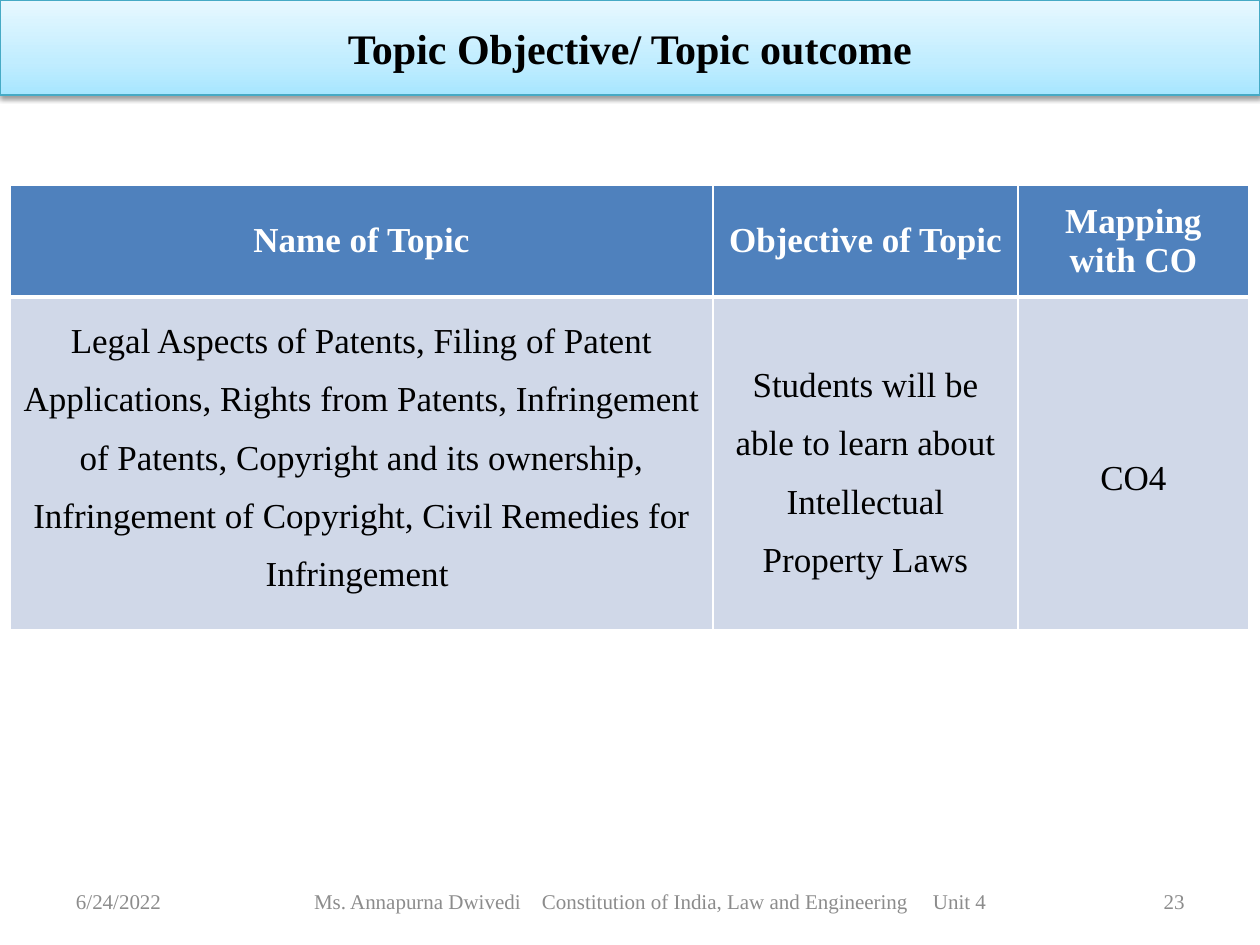
from lxml import etree
from pptx import Presentation
from pptx.dml.color import RGBColor
from pptx.enum.shapes import MSO_SHAPE
from pptx.enum.text import MSO_ANCHOR, PP_ALIGN
from pptx.oxml import parse_xml
from pptx.oxml.ns import nsdecls, qn
from pptx.util import Pt

LEFT, CENTER, RIGHT = PP_ALIGN.LEFT, PP_ALIGN.CENTER, PP_ALIGN.RIGHT
MIDDLE, TOP = MSO_ANCHOR.MIDDLE, MSO_ANCHOR.TOP
FONT = "Times New Roman"
COLORS = {
    "black": "000000", "white": "FFFFFF", "footer": "8C8C8C",
    "header": "4F81BD", "body": "D0D8E8", "title_line": "46AAC5",
}
TITLE = "Topic Objective/ Topic outcome"
TITLE_STOPS = [(0, "A7E6FF"), (35, "C1EDFF"), (100, "E7F8FF")]
HEADINGS = ["Name of Topic", "Objective of Topic", "Mapping with CO"]
TOPIC = [
    ("Legal Aspects of Patents, Filing of Patent Applications, Rights from "
     "Patents, Infringement of Patents, Copyright and its ownership, "
     "Infringement of Copyright, Civil Remedies for Infringement ", TOP, 1.5, 6),
    ("Students will be able to learn about Intellectual Property Laws", MIDDLE, 1.5, 6),
    ("CO4", MIDDLE, 1, 36),
]
COLUMN_WIDTHS = [703, 305, 231]
ROW_HEIGHTS = [112, 333]
FOOTER = [
    ("6/24/2022", 63, 294, LEFT, 13, []),
    ("Ms. Annapurna Dwivedi\tConstitution of India, Law and Engineering\tUnit 4",
     262, 777, LEFT, 52, [228, 619]),
    ("23", 903, 294, RIGHT, 13, []),
]


def px(length):
    return round(length * 914400 / 126)


def rgb(name):
    return RGBColor.from_string(COLORS[name])


def style(paragraph, size, color, align, bold=False):
    paragraph.alignment = align
    font = paragraph.font
    font.name, font.size, font.bold = FONT, Pt(size), bold
    font.color.rgb = rgb(color)


def add_title(slide):
    banner = slide.shapes.add_shape(MSO_SHAPE.RECTANGLE, 0, 0, px(1260), px(95))
    banner.line.color.rgb = rgb("title_line")
    banner.line.width = Pt(0.75)
    banner.shadow.inherit = False
    stops = "".join(f'<a:gs pos="{at * 1000}"><a:srgbClr val="{color}"/></a:gs>'
                    for at, color in TITLE_STOPS)
    properties = banner.element.spPr
    properties.find(qn("a:ln")).addprevious(parse_xml(
        f'<a:gradFill {nsdecls("a")} rotWithShape="1"><a:gsLst>{stops}</a:gsLst>'
        '<a:lin ang="16200000" scaled="0"/></a:gradFill>'))
    properties.find(qn("a:effectLst")).append(parse_xml(
        f'<a:outerShdw {nsdecls("a")} blurRad="{Pt(3.1)}" dist="{Pt(1.6)}" '
        'dir="5400000" rotWithShape="0"><a:srgbClr val="000000">'
        '<a:alpha val="38000"/></a:srgbClr></a:outerShdw>'))
    frame = banner.text_frame
    frame.vertical_anchor = MIDDLE
    frame.text = TITLE
    style(frame.paragraphs[0], 24, "black", CENTER, True)


def set_borders(cell, top, bottom):
    widths = {"lnL": 1, "lnR": 1, "lnT": top, "lnB": bottom}
    for index, (side, width) in enumerate(widths.items()):
        cell._tc.get_or_add_tcPr().insert(index, parse_xml(
            f'<a:{side} {nsdecls("a")} w="{Pt(width)}"><a:solidFill>'
            f'<a:srgbClr val="{COLORS["white"]}"/></a:solidFill></a:{side}>'))


def fill_cell(cell, text, fill, color, bold, anchor, spacing, margin_top):
    cell.fill.solid()
    cell.fill.fore_color.rgb = rgb(fill)
    cell.vertical_anchor = anchor
    cell.margin_left = cell.margin_right = px(13)
    cell.margin_top, cell.margin_bottom = px(margin_top), px(6)
    cell.text = text
    paragraph = cell.text_frame.paragraphs[0]
    paragraph.line_spacing = spacing
    style(paragraph, 20, color, CENTER, bold)


def add_topics(slide):
    table = slide.shapes.add_table(
        len(ROW_HEIGHTS), len(COLUMN_WIDTHS), px(10), px(185),
        px(sum(COLUMN_WIDTHS)), px(sum(ROW_HEIGHTS))).table
    for row, height in zip(table.rows, ROW_HEIGHTS):
        row.height = px(height)
    for index, width in enumerate(COLUMN_WIDTHS):
        table.columns[index].width = px(width)
        heading, topic = table.cell(0, index), table.cell(1, index)
        fill_cell(heading, HEADINGS[index], "header", "white", True, MIDDLE, 1, 6)
        fill_cell(topic, TOPIC[index][0], "body", "black", False, *TOPIC[index][1:])
        set_borders(heading, 1, 3)
        set_borders(topic, 3, 1)


def add_footer(slide):
    for text, left, width, align, margin_left, tabs in FOOTER:
        frame = slide.shapes.add_textbox(px(left), px(876), px(width), px(50)).text_frame
        frame.word_wrap = True
        frame.vertical_anchor = MIDDLE
        frame.margin_left = px(margin_left)
        frame.text = text
        paragraph = frame.paragraphs[0]
        if tabs:
            tab_list = etree.SubElement(paragraph._p.get_or_add_pPr(), qn("a:tabLst"))
            for position in tabs:
                etree.SubElement(tab_list, qn("a:tab"), pos=str(px(position)), algn="l")
        style(paragraph, 12, "footer", align)


def main():
    presentation = Presentation()
    presentation.slide_width, presentation.slide_height = px(1260), px(945)
    slide = presentation.slides.add_slide(presentation.slide_layouts[6])
    add_title(slide)
    add_footer(slide)
    add_topics(slide)
    presentation.save("out.pptx")


if __name__ == "__main__":
    main()
